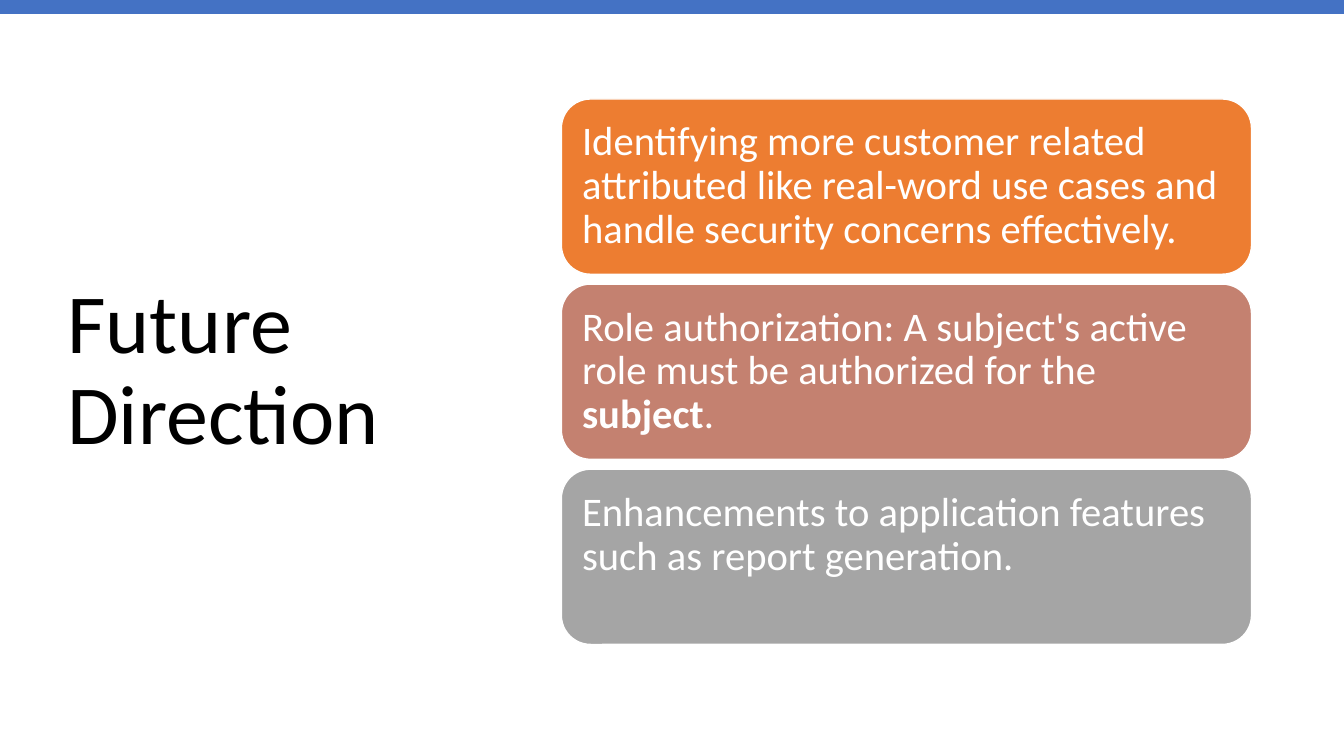
from dataclasses import dataclass

from pptx import Presentation
from pptx.dml.color import RGBColor
from pptx.enum import shapes, text
from pptx.util import Pt


@dataclass(frozen=True)
class Theme:
    """Colours and type sizes of the deck."""
    font: str = "Calibri"
    title_size: float = 60
    card_size: float = 29
    line_spacing: float = 0.9
    ink: str = "000000"
    paper: str = "FFFFFF"
    accent: str = "4472C4"
    cards: tuple = ("ED7D31", "C48170", "A5A5A5")


THEME = Theme()
CARDS = [
    (["Identifying more customer related attributed like real-word use cases "
      "and handle security concerns effectively."], 0),
    (["Role authorization: A subject's active role must be authorized for the ",
      "subject", "."], 0),
    (["Enhancements to application features such as report generation."], 1),
]


def style_paragraph(para, size, color):
    """Apply the theme font, a size and a colour to one paragraph."""
    para.alignment = text.PP_ALIGN.LEFT
    para.line_spacing = THEME.line_spacing
    for span in para.runs:
        span.font.name = THEME.font
        span.font.size = Pt(size)
        span.font.color.rgb = RGBColor.from_string(color)


def add_block(page, kind, box, color):
    """Add a filled preset shape without shadow."""
    block = page.shapes.add_shape(kind, *map(Pt, box))
    block.shadow.inherit = False
    block.fill.solid()
    block.fill.fore_color.rgb = RGBColor.from_string(color)
    block.line.fill.background()
    return block


def add_title(page, box, wording):
    """Add the slide title, centred vertically in its box."""
    frame = page.shapes.add_textbox(*map(Pt, box)).text_frame
    frame.word_wrap = True
    frame.vertical_anchor = text.MSO_ANCHOR.MIDDLE
    frame.text = wording
    style_paragraph(frame.paragraphs[0], THEME.title_size, THEME.ink)


def add_card(page, box, color, spans, spare_lines):
    """Add a rounded card, with every second span in bold."""
    card = add_block(page, shapes.MSO_SHAPE.ROUNDED_RECTANGLE, box, color)
    card.line.color.rgb = RGBColor.from_string(THEME.paper)
    card.line.width = Pt(1)
    frame = card.text_frame
    frame.word_wrap = True
    frame.vertical_anchor = text.MSO_ANCHOR.MIDDLE
    inset = 8.7
    frame.margin_left = frame.margin_top = frame.margin_right = Pt(inset)
    frame.margin_bottom = Pt(inset + spare_lines * 31)
    para = frame.paragraphs[0]
    for index, wording in enumerate(spans):
        span = para.add_run()
        span.text = wording
        span.font.bold = index % 2 == 1
    style_paragraph(para, THEME.card_size, THEME.paper)


def add_card_stack(page, box, gap):
    """Divide the box into equal cards from top to bottom."""
    left, top, width, height = box
    pitch = (height + gap) / len(CARDS)
    for index, (color, (spans, spare_lines)) in enumerate(zip(THEME.cards, CARDS)):
        card_box = (left, top + index * pitch, width, pitch - gap)
        add_card(page, card_box, color, spans, spare_lines)


def main():
    """Build the slide and save the deck."""
    deck = Presentation()
    deck.slide_width, deck.slide_height = Pt(960), Pt(540)
    page = deck.slides.add_slide(deck.slide_layouts[6])
    add_title(page, (41, 49, 299.5, 433.5), "Future Direction")
    add_block(page, shapes.MSO_SHAPE.RECTANGLE, (0, 0, 960, 10), THEME.accent)
    add_card_stack(page, (401, 70.7, 493, 389.6), 7)
    deck.save("out.pptx")


if __name__ == "__main__":
    main()
